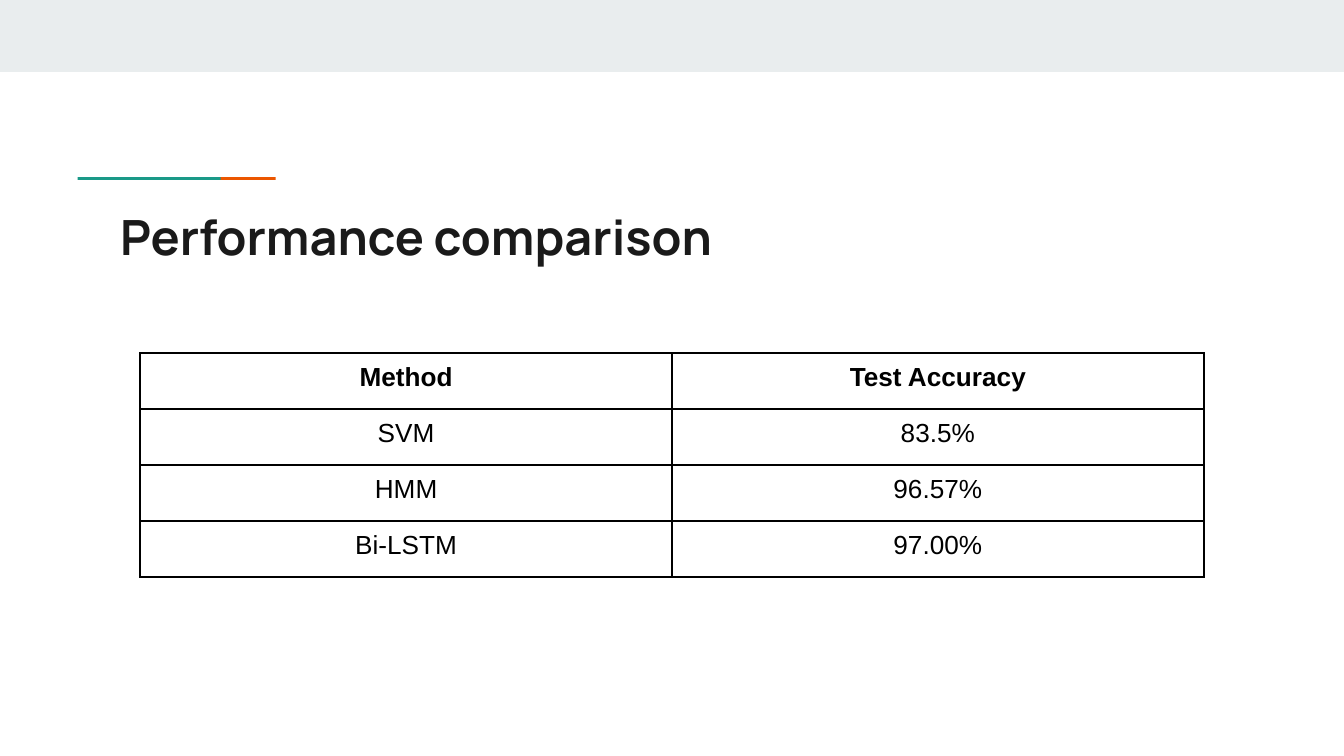
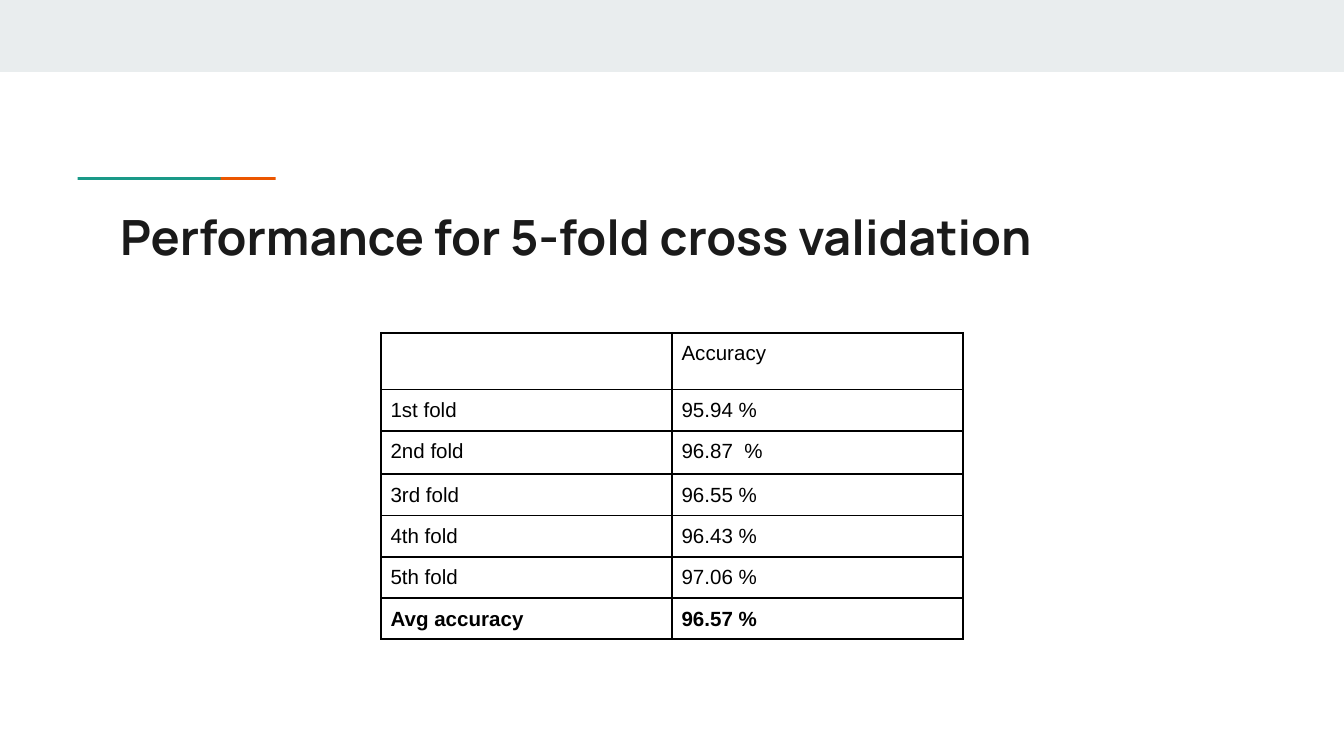
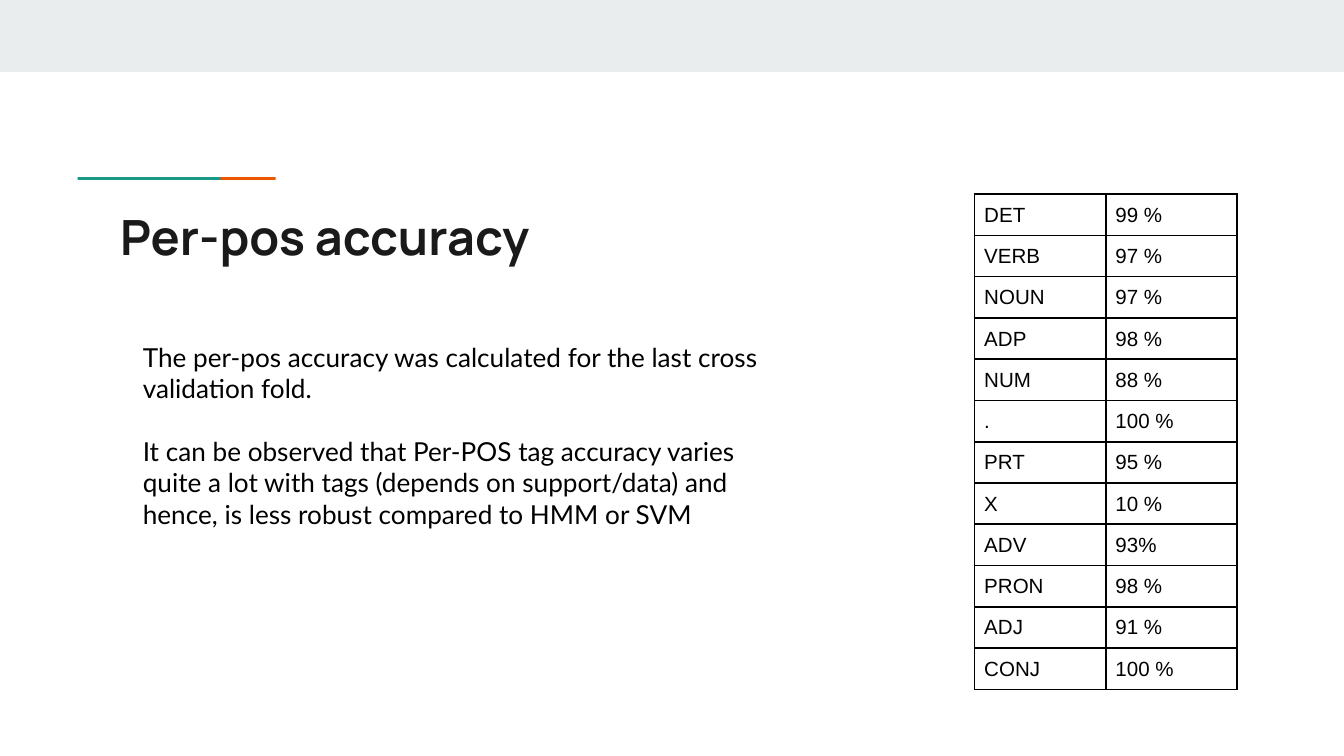
from lxml import etree
from pptx import Presentation
from pptx import util as u
from pptx.dml.color import RGBColor
from pptx.enum import shapes, text
from pptx.oxml import ns

COLORS = {
    "band": "E9EDEE",
    "teal": "1A9988",
    "orange": "EB5600",
    "title": "1A1A1A",
    "text": "000000",
}
SLIDE_WIDTH, SLIDE_HEIGHT = 25.4, 14.29
TEXT_INSETS = {"left": 0.25, "right": 0.25, "top": 0.25, "bottom": 0.25}
CELL_INSETS = {"left": 0.18, "right": 0.18, "top": 0.18, "bottom": 0.13}
FONTS = {
    "title": {"name": "Manrope", "size": u.Pt(26), "bold": True},
    "body": {"name": "Lato", "size": u.Pt(14), "bold": False},
    "large_cell": {"name": "Arial", "size": u.Pt(14), "bold": False},
    "small_cell": {"name": "Arial", "size": u.Pt(11), "bold": False},
}

METHODS = [
    ("Method", "Test Accuracy"),
    ("SVM", "83.5%"),
    ("HMM", "96.57%"),
    ("Bi-LSTM", "97.00%"),
]
FOLDS = [
    ("", "Accuracy"),
    ("1st fold", "95.94 %"),
    ("2nd fold", "96.87  %"),
    ("3rd fold", "96.55 %"),
    ("4th fold", "96.43 %"),
    ("5th fold", "97.06 %"),
    ("Avg accuracy", "96.57 %"),
]
TAGS = [
    ("DET", "99 %"),
    ("VERB", "97 %"),
    ("NOUN", "97 %"),
    ("ADP", "98 %"),
    ("NUM", "88 %"),
    (".", "100 %"),
    ("PRT", "95 %"),
    ("X", "10 %"),
    ("ADV", "93%"),
    ("PRON", "98 %"),
    ("ADJ", "91 %"),
    ("CONJ", "100 %"),
]
FINDINGS = [
    "The per-pos accuracy was calculated for the last cross validation fold.",
    "It can be observed that Per-POS tag accuracy varies quite a lot with tags "
    "(depends on support/data) and hence, is less robust compared to HMM or SVM",
]


def set_attributes(target, values):
    for name, value in values.items():
        setattr(target, name, value)


def set_insets(target, insets):
    set_attributes(target, {f"margin_{side}": u.Cm(inset) for side, inset in insets.items()})


def write_run(paragraph, words, font, color, **changes):
    run = paragraph.add_run()
    run.text = words
    set_attributes(run.font, {**FONTS[font], **changes})
    run.font.color.rgb = RGBColor.from_string(COLORS[color])


def add_bar(slide, left, top, width, height, color):
    bar = slide.shapes.add_shape(
        shapes.MSO_SHAPE.RECTANGLE, u.Cm(left), u.Cm(top), u.Cm(width), u.Cm(height)
    )
    bar.shadow.inherit = False
    bar.fill.solid()
    bar.fill.fore_color.rgb = RGBColor.from_string(COLORS[color])
    bar.line.fill.background()


def add_text(slide, left, top, width, height, paragraphs, font, color, gap=0):
    box = slide.shapes.add_textbox(u.Cm(left), u.Cm(top), u.Cm(width), u.Cm(height))
    frame = box.text_frame
    frame.word_wrap = True
    set_insets(frame, TEXT_INSETS)
    for index, words in enumerate(paragraphs):
        paragraph = frame.add_paragraph() if index else frame.paragraphs[0]
        paragraph.space_before = u.Pt(gap if index else 0)
        write_run(paragraph, words, font, color)


def add_borders(cell):
    """Draw a 1 pt line on each side; the lines must precede the cell's fill."""
    properties = cell._tc.get_or_add_tcPr()
    for index, side in enumerate(("lnL", "lnR", "lnT", "lnB")):
        line = etree.Element(ns.qn(f"a:{side}"), w=str(u.Pt(1)))
        fill = etree.SubElement(line, ns.qn("a:solidFill"))
        etree.SubElement(fill, ns.qn("a:srgbClr"), val=COLORS["text"])
        properties.insert(index, line)


def add_grid(slide, left, top, column_width, row_heights, rows, font,
             bold_row=None, align=text.PP_ALIGN.LEFT):
    columns = len(rows[0])
    table = slide.shapes.add_table(
        len(rows), columns, u.Cm(left), u.Cm(top),
        u.Cm(column_width * columns), u.Cm(sum(row_heights)),
    ).table
    set_attributes(table, {"first_row": False, "horz_banding": False})
    for column in table.columns:
        column.width = u.Cm(column_width)
    for row_index, (values, height) in enumerate(zip(rows, row_heights)):
        table.rows[row_index].height = u.Cm(height)
        for column_index, value in enumerate(values):
            cell = table.cell(row_index, column_index)
            set_insets(cell, CELL_INSETS)
            cell.fill.background()
            add_borders(cell)
            paragraph = cell.text_frame.paragraphs[0]
            paragraph.alignment = align
            write_run(paragraph, value, font, "text", bold=row_index == bold_row)


def add_titled_slide(presentation, title):
    slide = presentation.slides.add_slide(presentation.slide_layouts[6])
    add_bar(slide, 0, 0, SLIDE_WIDTH, 1.36, "band")
    for left, color in ((2.51, "orange"), (1.47, "teal")):
        add_bar(slide, left, 3.35, 2.7, 0.05, color)
    add_text(slide, 2.02, 3.66, 21.36, 1.5, [title], "title", "title")
    return slide


def main():
    presentation = Presentation()
    presentation.slide_width = u.Cm(SLIDE_WIDTH)
    presentation.slide_height = u.Cm(SLIDE_HEIGHT)

    slide = add_titled_slide(presentation, "Performance comparison")
    add_grid(slide, 2.65, 6.67, 10.05, [1.06] * len(METHODS), METHODS, "large_cell",
             bold_row=0, align=text.PP_ALIGN.CENTER)

    slide = add_titled_slide(presentation, "Performance for 5-fold cross validation")
    fold_heights = [1.07, 0.78, 0.82] + [0.78] * 4
    add_grid(slide, 7.2, 6.29, 5.5, fold_heights, FOLDS, "small_cell",
             bold_row=len(FOLDS) - 1)

    slide = add_titled_slide(presentation, "Per-pos accuracy")
    add_grid(slide, 18.42, 3.67, 2.48, [0.78] * len(TAGS), TAGS, "small_cell")
    add_text(slide, 2.45, 6.2, 12.6, 7.42, FINDINGS, "body", "text", gap=16.8)

    presentation.save("out.pptx")


if __name__ == "__main__":
    main()
